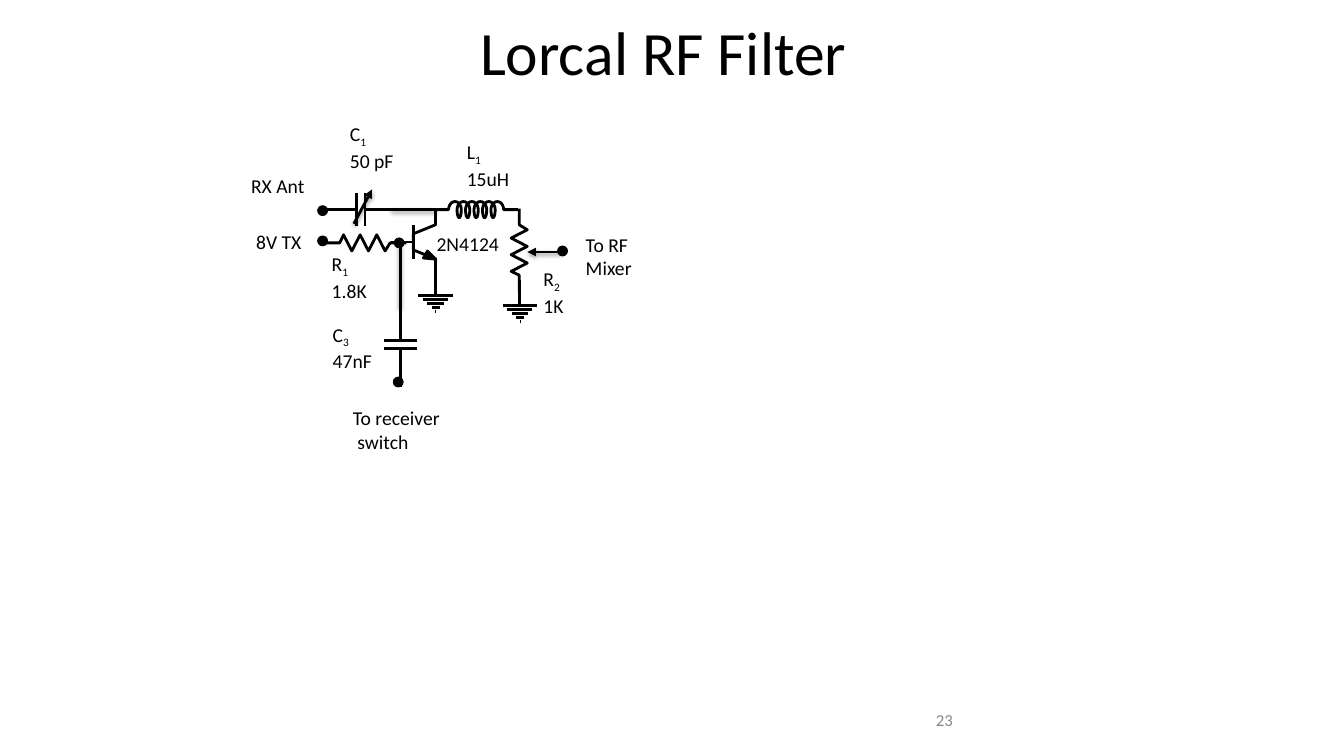
"""Build the RF filter circuit slide."""
from math import cos, pi, sin

from lxml.etree import SubElement
from pptx import Presentation
from pptx.dml.color import RGBColor
from pptx.enum.shapes import MSO_CONNECTOR, MSO_SHAPE
from pptx.enum.text import MSO_ANCHOR, PP_ALIGN
from pptx.oxml.ns import qn
from pptx.util import Inches, Pt

COLORS = {"ink": "000000", "muted": "888888"}


def rgb(name):
    return RGBColor.from_string(COLORS[name])


def add_text(s, box, text, size=14, color="ink", align=PP_ALIGN.LEFT,
             anchor=MSO_ANCHOR.TOP, inset=0.05):
    tf = s.shapes.add_textbox(*map(Inches, box)).text_frame
    tf.word_wrap = True
    tf.vertical_anchor = anchor
    tf.margin_left = tf.margin_right = Inches(inset)
    tf.margin_top = tf.margin_bottom = Inches(inset)
    tf.text = text
    for p in tf.paragraphs:
        p.alignment = align
        for r in p.runs:
            style_run(r, size, color)
    return tf


def style_run(r, size, color):
    r.font.name = "Calibri"
    r.font.size = Pt(size)
    r.font.color.rgb = rgb(color)


def add_part_label(s, x, y, letter, number, value):
    tf = add_text(s, (x, y, 0.74, 0.57), f"{letter}\n{value}")
    r = tf.paragraphs[0].add_run()
    r.text = number
    style_run(r, 14, "ink")
    r._r.get_or_add_rPr().set("baseline", "-25000")


def add_wire(s, x1, y1, x2, y2, arrow=False, shadow=False):
    wire = s.shapes.add_connector(MSO_CONNECTOR.STRAIGHT, *map(Inches, (x1, y1, x2, y2)))
    wire.line.color.rgb = rgb("ink")
    wire.line.width = Pt(2)
    if arrow:
        SubElement(wire.line._get_or_add_ln(), qn("a:tailEnd"), type="triangle")
    effects = SubElement(wire._element.spPr, qn("a:effectLst"))
    if shadow:
        outer = SubElement(effects, qn("a:outerShdw"), blurRad=str(Pt(3)),
                           dist=str(Pt(1.6)), dir="5400000", rotWithShape="0")
        tint = SubElement(outer, qn("a:srgbClr"), val=COLORS["ink"])
        SubElement(tint, qn("a:alpha"), val="38000")


def add_outline(s, points, closed=False):
    pts = [(Inches(x), Inches(y)) for x, y in points]
    builder = s.shapes.build_freeform(*pts[0])
    builder.add_line_segments(pts[1:], close=closed)
    sp = builder.convert_to_shape()
    sp.shadow.inherit = False
    sp.line.color.rgb = rgb("ink")
    sp.line.width = Pt(2)
    if closed:
        sp.fill.solid()
        sp.fill.fore_color.rgb = rgb("ink")
    else:
        sp.fill.background()


def add_node(s, x, y):
    sp = s.shapes.add_shape(MSO_SHAPE.OVAL, *map(Inches, (x - 0.05, y - 0.05, 0.1, 0.1)))
    sp.shadow.inherit = False
    sp.fill.solid()
    sp.fill.fore_color.rgb = rgb("ink")
    sp.line.color.rgb = rgb("ink")
    sp.line.width = Pt(0.5)


def add_ground(s, x, y):
    add_wire(s, x, y - 0.25, x, y)
    for i, half in enumerate((0.17, 0.125, 0.08, 0.04, 0.002)):
        add_wire(s, x - half, y + 0.04 * i, x + half, y + 0.04 * i)


def add_resistor(s, x, y, vertical):
    zigzag = [(0.21 + 0.0825 * i, 0.08 * (-1) ** i) for i in range(6)]
    steps = [(0, 0), (0.16, 0), *zigzag, (0.66, 0), (0.83, 0)]
    add_outline(s, [(x + off, y + run) if vertical else (x - run, y + off)
                    for run, off in steps])


def add_coil(s, x, y, turns=6):
    points = [(x - 0.14, y)]
    pitch, hump, dip, height, steps = 0.084, 0.126, 0.042, 0.08, 12
    for turn in range(turns):
        left = x + turn * pitch
        arcs = [(left + hump / 2, hump / 2, -1)]
        if turn < turns - 1:
            arcs.append((left + hump - dip / 2, dip / 2, 1))
        for center, radius, side in arcs:
            for i in range(steps + 1):
                a = pi * i / steps
                points.append((center + side * radius * cos(a),
                               y + side * height * sin(a)))
    points.append((x + (turns - 1) * pitch + hump + 0.14, y))
    add_outline(s, points)


def add_capacitor(s, x, y, vertical):
    for side in (-1, 1):
        gap, end = 0.04 * side, 0.415 * side
        if vertical:
            add_wire(s, x, y + gap, x, y + end)
            add_wire(s, x - 0.165, y + gap, x + 0.165, y + gap)
        else:
            add_wire(s, x + gap, y, x + end, y)
            add_wire(s, x + gap, y - 0.165, x + gap, y + 0.165)


def add_transistor(s):
    add_outline(s, [(4.32, 2.07), (4.32, 2.23), (4.1, 2.32),
                    (4.1, 2.48), (4.32, 2.57), (4.32, 2.73)])
    add_wire(s, 4.1, 2.23, 4.1, 2.57)
    add_wire(s, 4.1, 2.4, 3.88, 2.4)
    add_outline(s, [(4.32, 2.57), (4.24, 2.49), (4.2, 2.56)], closed=True)


def main():
    prs = Presentation()
    prs.slide_width, prs.slide_height = Inches(13.33), Inches(7.5)
    s = prs.slides.add_slide(prs.slide_layouts[6])

    add_text(s, (0.32, 0.14, 12.52, 0.74), "Lorcal RF Filter", 44,
             align=PP_ALIGN.CENTER, inset=0)
    add_text(s, (7.17, 7, 2.33, 0.29), "23", 12, "muted",
             PP_ALIGN.RIGHT, MSO_ANCHOR.MIDDLE)

    add_ground(s, 4.32, 2.93)
    add_ground(s, 5.155, 3.03)
    add_transistor(s)
    add_coil(s, 4.45, 2.08)
    add_resistor(s, 5.15, 2.07, vertical=True)
    add_resistor(s, 4.03, 2.41, vertical=False)
    add_capacitor(s, 3.58, 2.08, vertical=False)
    add_capacitor(s, 3.97, 3.42, vertical=True)

    add_wire(s, 3.51, 2.22, 3.69, 1.88, arrow=True, shadow=True)
    add_wire(s, 5.58, 2.5, 5.23, 2.5, arrow=True, shadow=True)
    add_wire(s, 3.88, 2.08, 4.32, 2.08, shadow=True)
    add_wire(s, 3.97, 3.05, 3.97, 2.41, shadow=True)
    for x, y in [(3.2, 2.09), (3.2, 2.39), (5.58, 2.49), (3.95, 3.79), (3.96, 2.41)]:
        add_node(s, x, y)

    for part in [(3.42, 1.16, "C", "1", "50 pF"), (4.58, 1.34, "L", "1", "15uH"),
                 (3.24, 2.45, "R", "1", "1.8K"), (5.34, 2.6, "R", "2", "1K"),
                 (3.25, 3.15, "C", "3", "47nF")]:
        add_part_label(s, *part)
    for box, text in [((2.44, 1.68, 0.86, 0.34), "RX Ant"),
                      ((2.49, 2.23, 0.72, 0.34), "8V TX"),
                      ((4.28, 2.25, 0.86, 0.34), "2N4124"),
                      ((3.45, 3.98, 1, 0.57), "To receiver\n switch"),
                      ((5.76, 2.26, 1, 0.57), "To RF\nMixer")]:
        add_text(s, box, text)

    prs.save("out.pptx")


if __name__ == "__main__":
    main()
